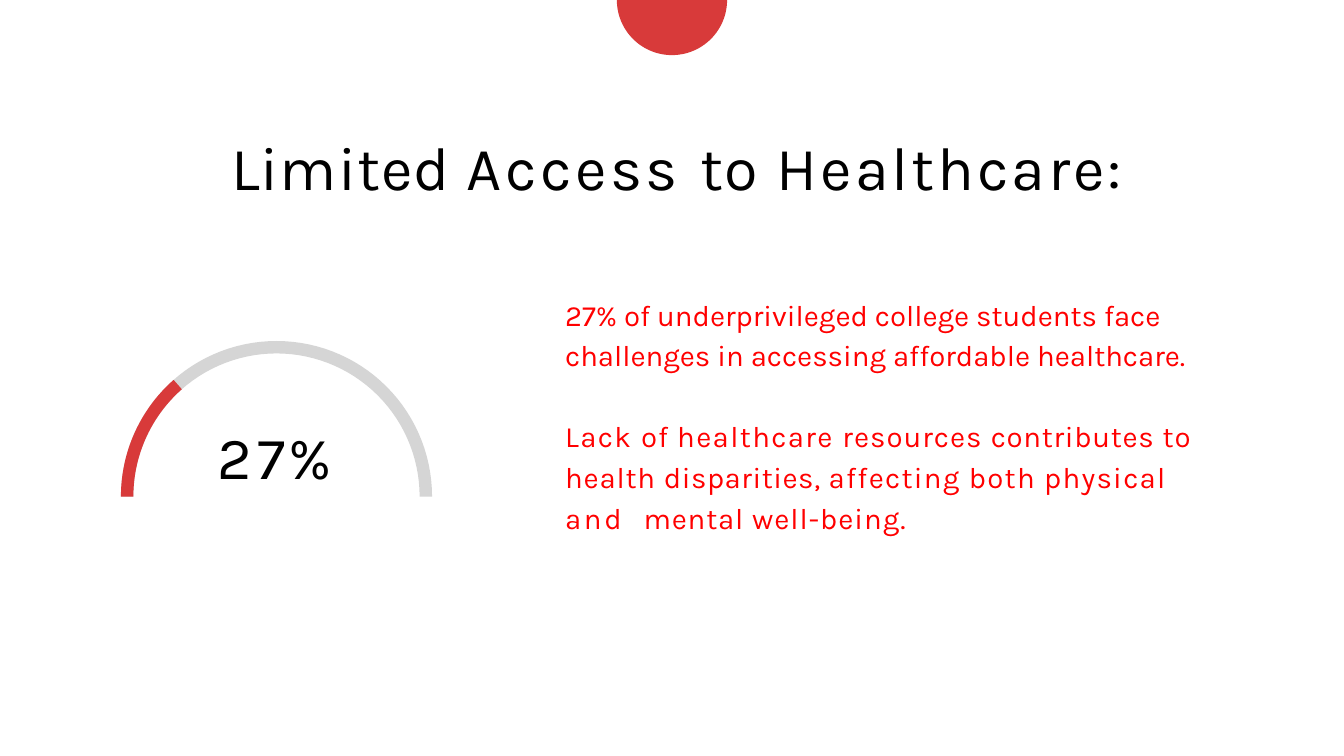
from math import cos, pi, sin

from pptx import Presentation
from pptx.dml.color import RGBColor as Color
from pptx.enum.text import MSO_ANCHOR as Anchor, MSO_AUTO_SIZE as AutoSize, PP_ALIGN as Align
from pptx.util import Inches, Pt

COLORS = {"black": "000000", "text_red": "FF0000", "red": "D83A3A", "grey": "D5D5D5"}
FONT = "Karla"
SHARE = 0.27

deck = Presentation()
deck.slide_width, deck.slide_height = Inches(20), Inches(11.25)
page = deck.slides.add_slide(deck.slide_layouts.get_by_name("Two Content"))
title, finding, effect = page.placeholders


def write(box, runs, place, size, color, line=1.0, before=1.0, top=0.01):
    """Place a box and fill it with (text, letter spacing in points) runs."""
    box.left, box.top, box.width, box.height = [Inches(value) for value in place]
    frame = box.text_frame
    frame.word_wrap = True
    frame.auto_size = AutoSize.SHAPE_TO_FIT_TEXT
    frame.vertical_anchor = Anchor.TOP
    frame.margin_left = frame.margin_right = frame.margin_bottom = 0
    frame.margin_top = Inches(top)
    para = frame.paragraphs[0]
    para.alignment = Align.LEFT
    para.line_spacing, para.space_before = line, Pt(before)
    properties = para._p.get_or_add_pPr()
    properties.set("marL", str(Inches(0.01)))
    properties.set("indent", "0")
    properties.get_or_add_buNone() if hasattr(properties, "get_or_add_buNone") else \
        properties.append(properties.makeelement(
            "{http://schemas.openxmlformats.org/drawingml/2006/main}buNone", {}))
    for text, spacing in runs:
        span = para.add_run()
        span.text = text
        span.font.name, span.font.size = FONT, Pt(size)
        span.font.color.rgb = Color.from_string(COLORS[color])
        span._r.get_or_add_rPr().set("spc", str(round(spacing * 100)))


def draw_arc(center, outer, inner, start, end, color, steps=60):
    """Draw a band between two radii; angles are shares of a half turn."""
    angles = [pi * (start + (end - start) * step / steps) for step in range(steps + 1)]
    points = [(Inches(center[0] - radius * cos(angle)), Inches(center[1] - radius * sin(angle)))
              for radius, sweep in ((outer, angles), (inner, angles[::-1]))
              for angle in sweep]
    builder = page.shapes.build_freeform(*points[0])
    builder.add_line_segments(points[1:], close=True)
    shape = builder.convert_to_shape()
    shape.shadow.inherit = False
    shape.fill.solid()
    shape.fill.fore_color.rgb = Color.from_string(COLORS[color])
    shape.line.fill.background()


# Gauge: grey half ring, then the red share on top
gauge_center = (4.115, 7.39)
for share, color in ((1, "grey"), (SHARE, "red")):
    draw_arc(gauge_center, 2.315, 2.13, 0, share, color)
label = page.shapes.add_textbox(0, 0, 0, 0)
write(label, [("2", 5.7), ("7", 3.6), ("%", 9.5)], (3.23, 6.23, 1.76, 1.09), 64, "black")

# Half disc at the top edge
draw_arc((10, 0), 0.82, 0, 0, -1, "red")

# Title
write(title, [("Limited ", 1.1), ("Access ", 3.8), ("to ", 2.1), ("Healthcare:", 3.2)],
      (3.43, 1.91, 13.28, 1.12), 65.5, "black", before=1.2, top=0.02)

# Body texts
body_format = dict(size=31.5, color="text_red", line=1.15, before=0.9)
write(finding, [("27% of underprivileged college students face challenges in "
                 "accessing affordable healthcare.", 0)],
      (8.4, 4.33, 10.07, 1.23), **body_format)
write(effect, [("Lack ", 1.6), ("of ", 1.1), ("healthcare ", 1.5), ("resources ", 1.1),
               ("contributes ", 0.8), ("to health ", 0.9), ("disparities, ", 0.6),
               ("affecting both physical ", 1.4), ("and", 2.9), (" ", 13),
               ("mental ", 0.9), ("well-being.", 1.1)],
      (8.4, 6.14, 9.8, 1.84), **body_format)

deck.save("out.pptx")
